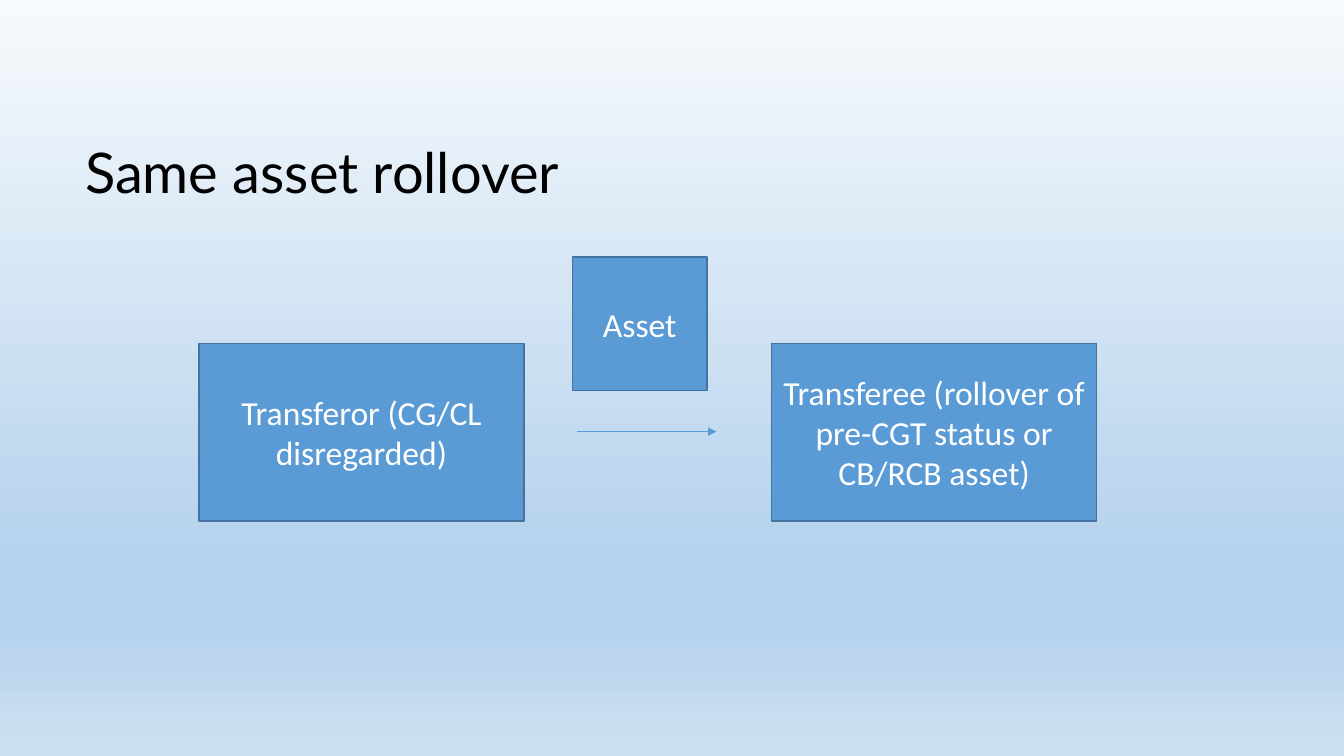
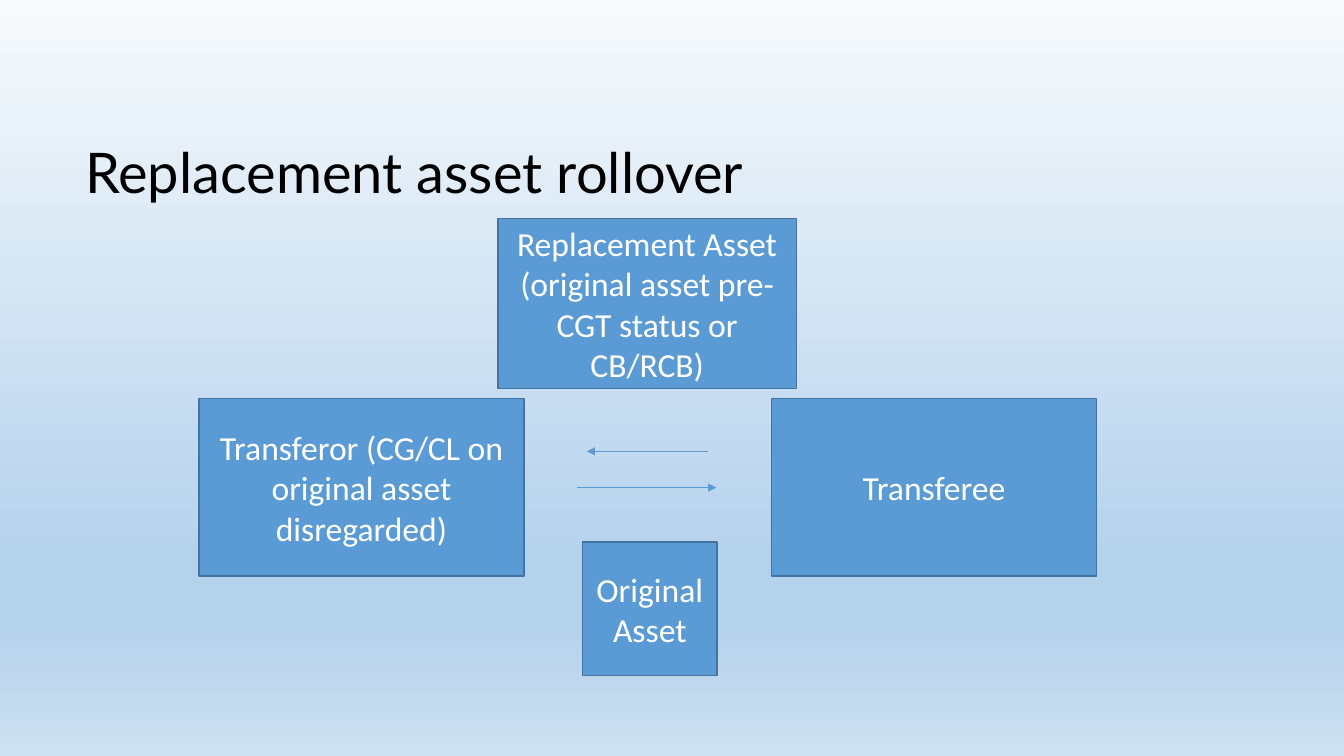
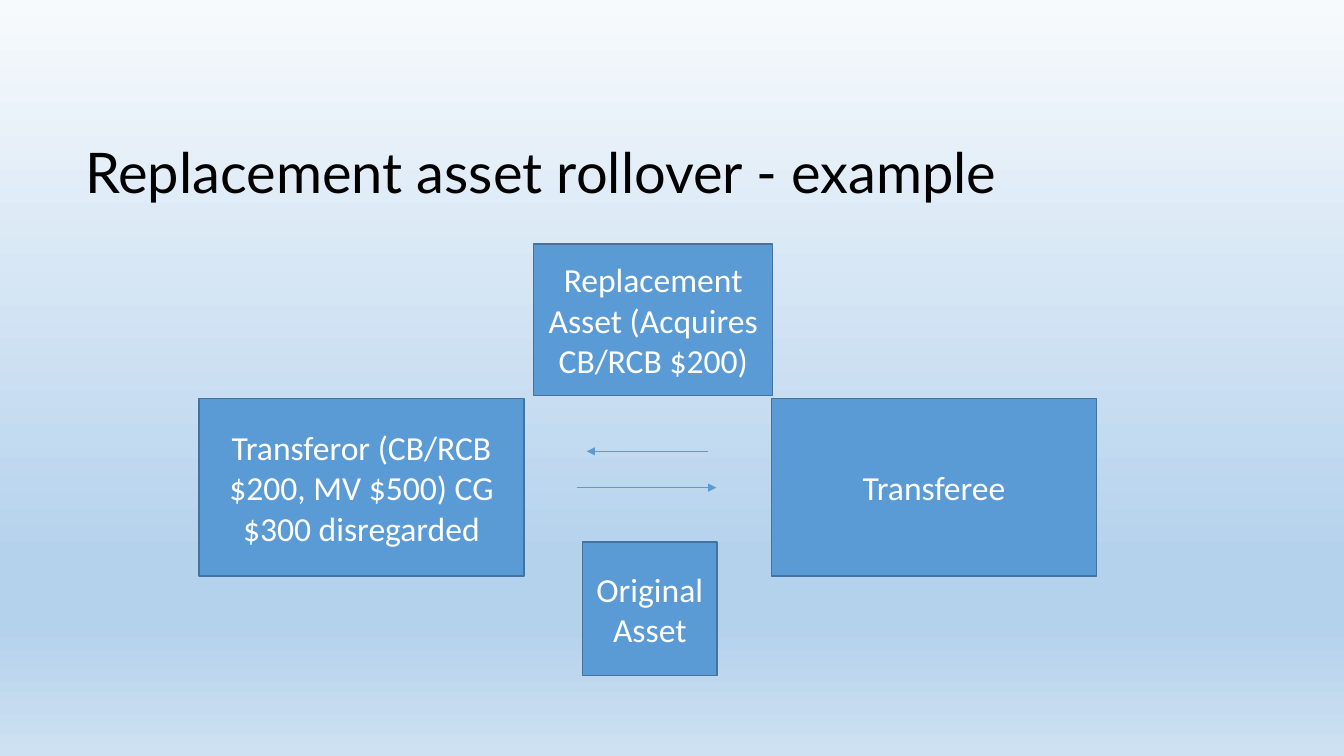
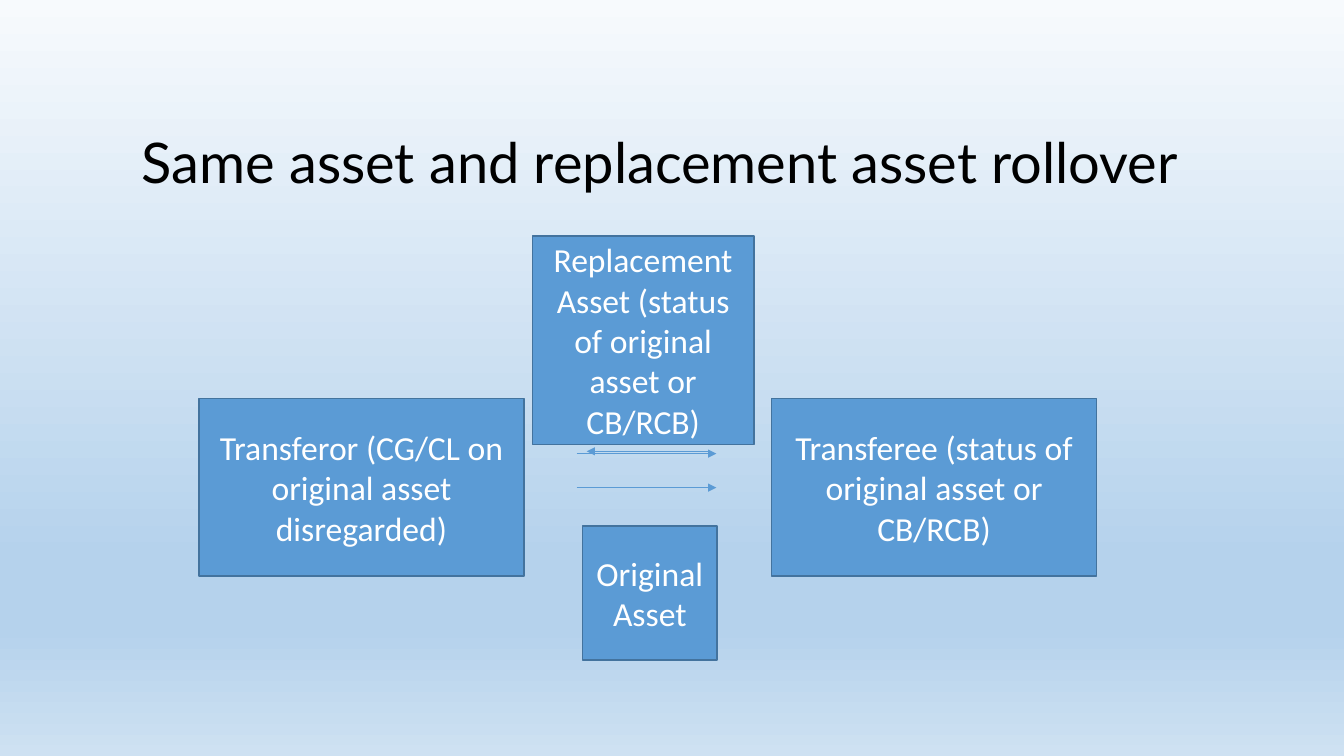
"""Build four slides that chart asset rollovers between two parties."""
import dataclasses

import lxml.etree
import pptx
import pptx.dml.color
import pptx.enum.shapes
import pptx.enum.text
import pptx.oxml.ns
import pptx.shapes.base
import pptx.slide
import pptx.text.text
import pptx.util

RGB = pptx.dml.color.RGBColor
BLACK = RGB(0x00, 0x00, 0x00)
WHITE = RGB(0xFF, 0xFF, 0xFF)
BLUE = RGB(0x5B, 0x9B, 0xD5)
EDGE = RGB(0x43, 0x73, 0x9E)
PALE = RGB(0xF7, 0xFA, 0xFD)
SKY = RGB(0xB5, 0xD2, 0xEC)
MIST = RGB(0xCE, 0xE1, 0xF2)
STOPS = ((0, PALE), (74, SKY), (83, SKY), (100, MIST))

WIDTH = pptx.util.Inches(13.33)
HEIGHT = pptx.util.Inches(7.5)
GRID = 100

ANCHOR = pptx.enum.text.MSO_ANCHOR
ALIGN = pptx.enum.text.PP_ALIGN


@dataclasses.dataclass(frozen=True)
class Box:
    text: str
    col: float
    row: float
    cols: float
    rows: float


@dataclasses.dataclass(frozen=True)
class Arrow:
    start: float
    end: float
    row: float


@dataclasses.dataclass(frozen=True)
class Page:
    title: Box
    boxes: tuple[Box, ...]
    arrows: tuple[Arrow, ...]


def across(cols: float) -> int:
    return round(WIDTH * cols / GRID)


def down(rows: float) -> int:
    return round(HEIGHT * rows / GRID)


def place(box: Box) -> tuple[int, int, int, int]:
    return across(box.col), down(box.row), across(box.cols), down(box.rows)


def head(text: str, col: float = 5.6, row: float = 14.1) -> Box:
    return Box(text, col, row, 88.4, 13.7)


def giver(text: str, row: float = 52.7) -> Box:
    return Box(text, 14.8, row, 24.2, 23.5)


def taker(text: str, row: float = 52.7) -> Box:
    return Box(text, 57.4, row, 24.2, 23.5)


def asset(text: str, col: float = 43.35, row: float = 71.7) -> Box:
    return Box(text, col, row, 10, 17.7)


def forth(row: float = 64.5) -> Arrow:
    return Arrow(42.9, 53.3, row)


BACK = Arrow(52.65, 43.65, 59.7)

PAGES = (
    Page(
        head("Same asset rollover"),
        (
            giver("Transferor (CG/CL disregarded)", 45.4),
            taker("Transferee (rollover of pre-CGT status or CB/RCB asset)", 45.4),
            asset("Asset", 42.6, 34),
        ),
        (forth(57.1),),
    ),
    Page(
        head("Replacement asset rollover"),
        (
            giver("Transferor (CG/CL on original asset disregarded)"),
            taker("Transferee"),
            asset("Original Asset"),
            Box("Replacement Asset (original asset pre-CGT status or CB/RCB)",
                37.05, 28.9, 22.2, 22.5),
        ),
        (forth(), BACK),
    ),
    Page(
        head("Replacement asset rollover - example"),
        (
            giver("Transferor (CB/RCB $200, MV $500) CG $300 disregarded"),
            taker("Transferee"),
            asset("Original Asset"),
            Box("Replacement Asset (Acquires CB/RCB $200)", 39.7, 32.3, 17.8, 20),
        ),
        (forth(), BACK),
    ),
    Page(
        head("Same asset and replacement asset rollover", 9.8, 12.9),
        (
            giver("Transferor (CG/CL on original asset disregarded)"),
            taker("Transferee (status of original asset or CB/RCB)"),
            asset("Original Asset", row=69.6),
            Box("Replacement Asset (status of original asset or CB/RCB)",
                39.6, 31.2, 16.5, 27.6),
        ),
        (forth(), BACK, forth(60)),
    ),
)


def write(frame: pptx.text.text.TextFrame, text: str, *, font: str, size: int,
          ink: RGB, align: ALIGN, anchor: ANCHOR, space: float = 1.0) -> None:
    frame.word_wrap = True
    frame.vertical_anchor = anchor
    line = frame.paragraphs[0]
    line.alignment = align
    line.line_spacing = space
    run = line.add_run()
    run.text = text
    run.font.name = font
    run.font.size = pptx.util.Pt(size)
    run.font.color.rgb = ink


def add_tag(root: lxml.etree._Element, name: str, **attrs: str) -> lxml.etree._Element:
    return lxml.etree.SubElement(root, pptx.oxml.ns.qn(name), attrs)


def shade(master: pptx.slide.SlideMaster) -> None:
    fill = master.background.fill
    fill.gradient()
    fill.gradient_angle = 270
    stops = next(master.element.iter(pptx.oxml.ns.qn("a:gsLst")))
    for stop in list(stops):
        stops.remove(stop)
    for share, tone in STOPS:
        stop = add_tag(stops, "a:gs", pos=str(share * 1000))
        add_tag(stop, "a:srgbClr", val=str(tone))


def draw_title(slide: pptx.slide.Slide, title: Box) -> None:
    shape = slide.shapes.add_textbox(*place(title))
    write(shape.text_frame, title.text, font="Lato", size=40, ink=BLACK,
          align=ALIGN.LEFT, anchor=ANCHOR.BOTTOM, space=0.9)


def draw_box(slide: pptx.slide.Slide, box: Box) -> None:
    kind = pptx.enum.shapes.MSO_SHAPE.RECTANGLE
    shape = slide.shapes.add_shape(kind, *place(box))
    shape.shadow.inherit = False
    shape.fill.solid()
    shape.fill.fore_color.rgb = BLUE
    shape.line.color.rgb = EDGE
    shape.line.width = pptx.util.Pt(1)
    write(shape.text_frame, box.text, font="Calibri", size=24, ink=WHITE,
          align=ALIGN.CENTER, anchor=ANCHOR.MIDDLE)


def draw_arrow(slide: pptx.slide.Slide, arrow: Arrow) -> None:
    kind = pptx.enum.shapes.MSO_CONNECTOR.STRAIGHT
    level = down(arrow.row)
    shape = slide.shapes.add_connector(
        kind, across(arrow.start), level, across(arrow.end), level)
    shape.line.color.rgb = BLUE
    shape.line.width = pptx.util.Pt(0.5)
    add_tag(shape.line._get_or_add_ln(), "a:tailEnd", type="triangle")
    add_tag(shape.element.spPr, "a:effectLst")


def main() -> None:
    deck = pptx.Presentation()
    deck.slide_width = WIDTH
    deck.slide_height = HEIGHT
    shade(deck.slide_master)
    for page in PAGES:
        slide = deck.slides.add_slide(deck.slide_layouts[6])
        draw_title(slide, page.title)
        for box in page.boxes:
            draw_box(slide, box)
        for arrow in page.arrows:
            draw_arrow(slide, arrow)
    deck.save("out.pptx")


main()
